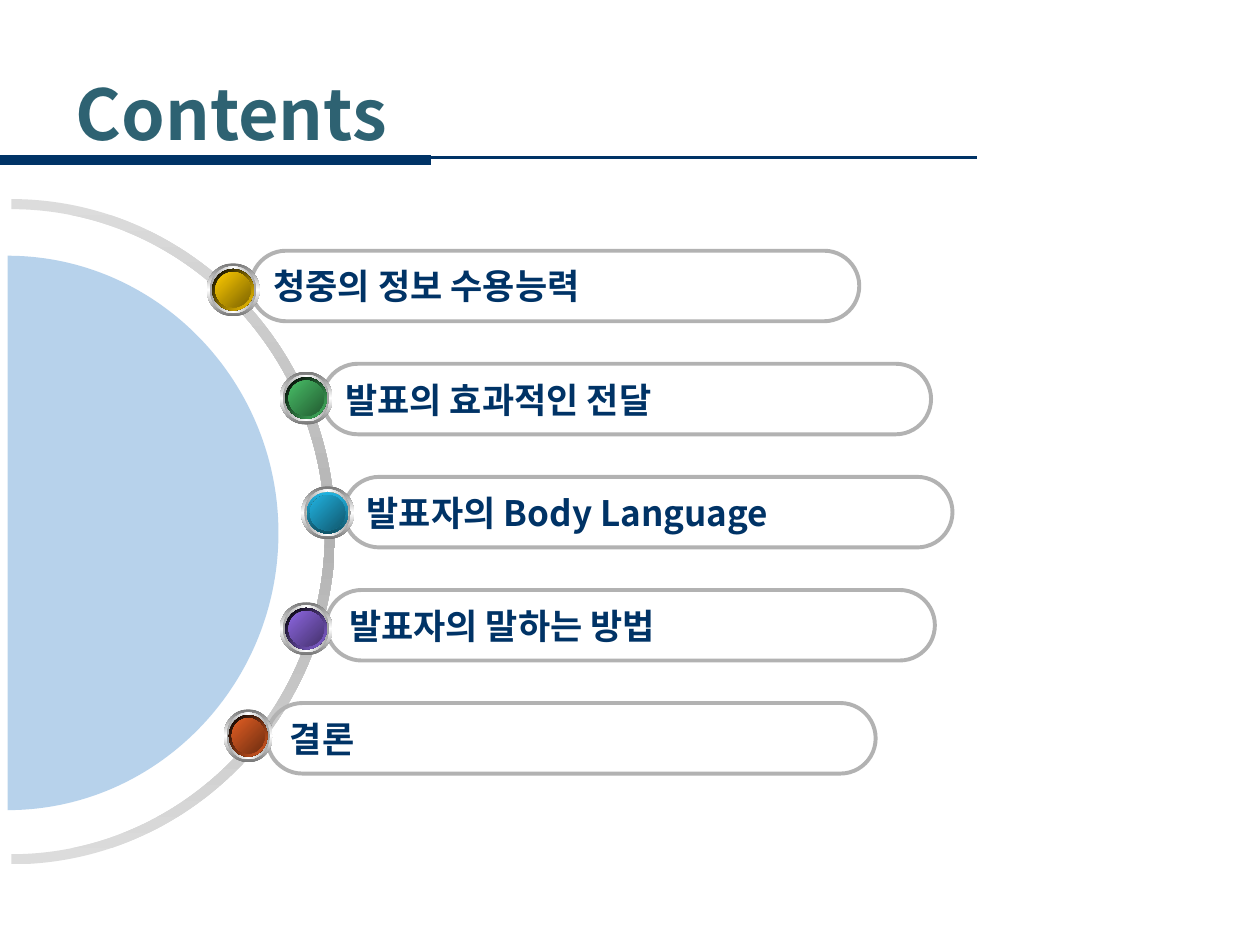
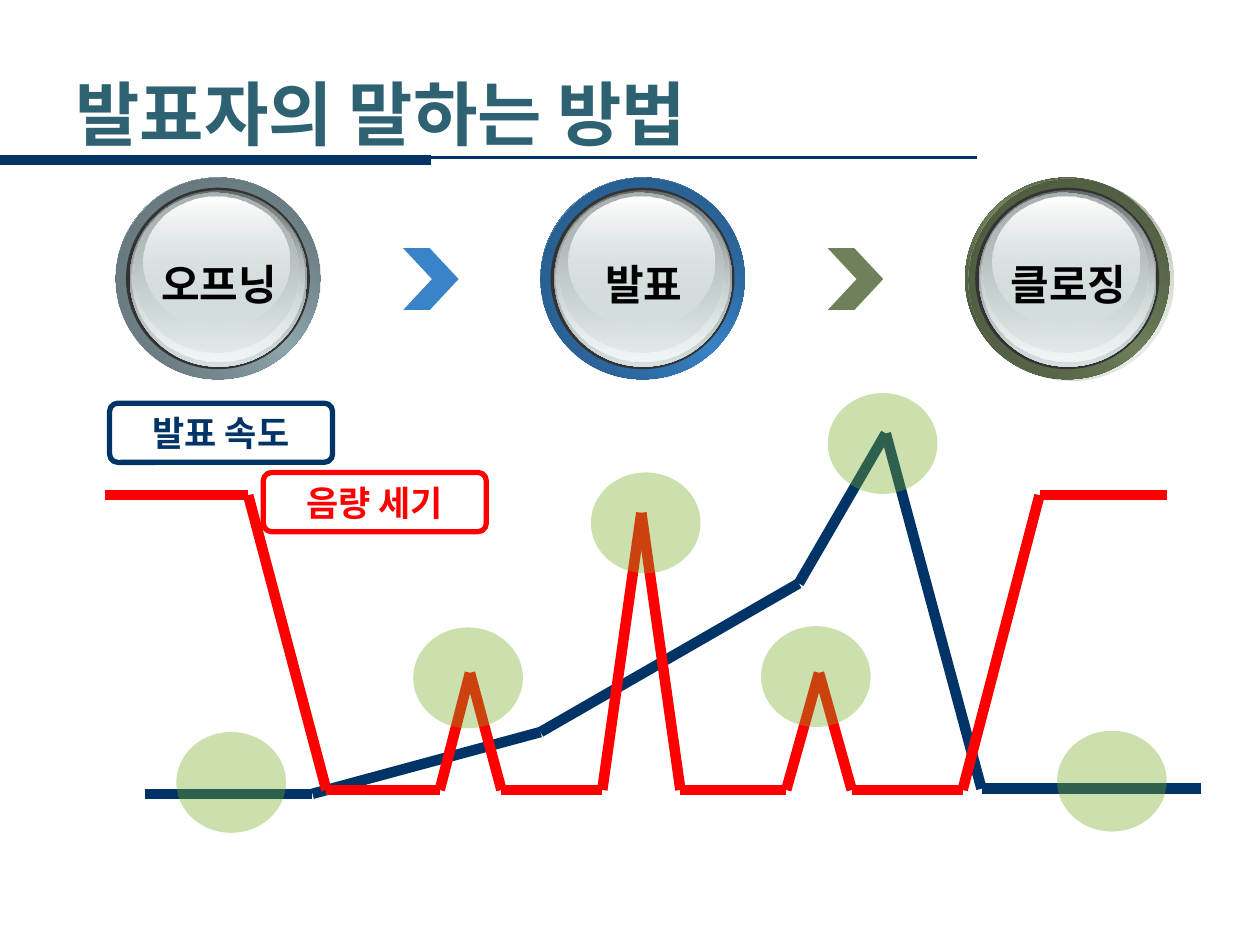
from itertools import pairwise

from lxml import etree
from pptx import Presentation
from pptx import util as u
from pptx.dml.color import RGBColor
from pptx.enum import shapes, text
from pptx.oxml.ns import qn

# Shared look
NAVY = RGBColor(0x00, 0x33, 0x66)
TEAL = RGBColor(0x2E, 0x62, 0x72)
RED = RGBColor(0xFF, 0x00, 0x00)
BLACK = RGBColor(0x00, 0x00, 0x00)
CHARCOAL = RGBColor(0x33, 0x33, 0x33)
GREY = RGBColor(0xB2, 0xB2, 0xB2)
BLUE = RGBColor(0x39, 0x84, 0xC9)
OLIVE = RGBColor(0x6E, 0x81, 0x5B)
GREEN = RGBColor(0x77, 0xAE, 0x26)
KOREAN = "Noto Sans CJK KR"
LATIN = "Arial"
KIND = shapes.MSO_SHAPE
LEFT, CENTER = text.PP_ALIGN.LEFT, text.PP_ALIGN.CENTER
TITLE_ONLY = 5
TITLE_RULES = [((7.75, 1.25), (0, 1.25), 1.5), ((0, 1.27), (3.42, 1.27), 6)]

# Contents slide: label, pill left, orb centre, orb width, rim gradient, face gradient
CONTENTS = [
    ("청중의 정보 수용능력", 1.99, (1.85, 2.30), 0.42,
     ("000000", "FFCC00", 45), ("FFCC00", "7C6300")),
    ("발표의 효과적인 전달", 2.56, (2.43, 3.16), 0.42,
     ("000000", "48BE67", 45), ("48BE67", "235C32")),
    ("발표자의 Body Language", 2.73, (2.60, 4.07), 0.42,
     ("21B3E1", "0F5368", 90), ("21B3E1", "10576D")),
    ("발표자의 말하는 방법", 2.59, (2.43, 4.99), 0.42,
     ("000000", "8D67E1", 45), ("8D67E1", "45326D")),
    ("결론", 2.12, (1.97, 5.84), 0.39,
     ("000000", "E35E23", 45), ("E35E23", "6E2E11")),
]
PILL_TOP, PILL_LAST = 1.99, 5.58
PILL_W, PILL_H = 4.83, 0.56
ORB = 0.42

# Delivery slide: stage, dark edge, bright middle, shine start, shine offset
STAGES = [
    ("오프닝", "4E5B5F", "90A8B0", "5B6B70", (0, 0)),
    ("발표", "1F476D", "3984C9", "245480", (0, 0)),
    ("클로징", "3C4631", "6E815B", "46523A", (0.03, 0.01)),
]
STAGE_LEFT, STAGE_TOP, STAGE_PITCH = 0.92, 1.41, 3.37
ARROWS = [BLUE, OLIVE]
# Glass layers: offset and size inside a stage, gradient stops (share, colour, alpha)
GLASS = [
    ((0.11, 0.10, 1.41, 1.40), [(0, "636869"), (100, "D6E1E2")]),
    ((0.12, 0.10, 1.38, 1.36), [(0, "D6E1E2", 0), (100, "F1F5F5")]),
    ((0.14, 0.12, 1.31, 1.27), [(0, "AAB2B3"), (100, "D6E1E2", 48)]),
    ((0.22, 0.15, 1.16, 1.03), [(0, "FFFFFF"), (100, "D6E1E2", 38)]),
]
CURVES = [
    (NAVY, [(1.15, 6.3), (2.48, 6.3), (4.29, 5.81), (6.34, 4.63),
            (7.03, 3.44), (7.79, 6.26), (9.53, 6.26)]),
    (RED, [(0.83, 3.93), (1.97, 3.93), (2.59, 6.27), (3.49, 6.27), (3.73, 5.34),
           (3.98, 6.27), (4.78, 6.27), (5.09, 4.07), (5.4, 6.27), (6.24, 6.27),
           (6.5, 5.34), (6.76, 6.27), (7.64, 6.27), (8.25, 3.93), (9.26, 3.93)]),
]
LEGEND = [("발표 속도", NAVY, 0.87, 3.2), ("음량 세기", RED, 2.09, 3.75)]
HIGHLIGHTS = [(1.4, 5.81), (6.57, 3.12), (8.39, 5.8),
              (4.69, 3.75), (3.28, 4.98), (6.04, 4.97)]


def add_run(p, words, size, color, font):
    r = p.add_run()
    r.text = words
    r.font.size, r.font.bold, r.font.name = u.Pt(size), True, font
    r.font.color.rgb = color


def set_alpha(parent, percent):
    etree.SubElement(parent, qn("a:alpha"), val=str(percent * 1000))


def paint(sp, fill=None, alpha=None, line=None, width=1):
    """Fill is a colour, a (stops, angle) gradient, or None."""
    sp.shadow.inherit = False
    if line is None:
        sp.line.fill.background()
    else:
        sp.line.color.rgb, sp.line.width = line, u.Pt(width)
    if fill is None:
        sp.fill.background()
    elif isinstance(fill, RGBColor):
        sp.fill.solid()
        sp.fill.fore_color.rgb = fill
        if alpha is not None:
            set_alpha(sp._element.spPr.find(".//" + qn("a:srgbClr")), alpha)
    else:
        stops, angle = fill
        sp.fill.gradient()
        grad = sp._element.spPr.find(qn("a:gradFill"))
        for child in list(grad):
            grad.remove(child)
        stop_list = etree.SubElement(grad, qn("a:gsLst"))
        for share, color, *opacity in stops:
            stop = etree.SubElement(stop_list, qn("a:gs"), pos=str(share * 1000))
            rgb = etree.SubElement(stop, qn("a:srgbClr"), val=color)
            for percent in opacity:
                set_alpha(rgb, percent)
        etree.SubElement(grad, qn("a:lin"), ang=str(angle * 60000), scaled="0")
    return sp


def add_shape(s, kind, box, *args, **style):
    return paint(s.shapes.add_shape(kind, *map(u.Inches, box)), *args, **style)


def add_line(s, start, end, color, width):
    c = s.shapes.add_connector(shapes.MSO_CONNECTOR.STRAIGHT,
                               *map(u.Inches, (*start, *end)))
    c.line.color.rgb, c.line.width = color, u.Pt(width)
    etree.SubElement(c._element.spPr, qn("a:effectLst"))
    return c


def add_framed_label(s, box, radius, frame, width, words, color, font, align):
    sp = add_shape(s, KIND.ROUNDED_RECTANGLE, box, line=frame, width=width)
    sp.adjustments[0] = radius
    tf = sp.text_frame
    tf.vertical_anchor = text.MSO_ANCHOR.MIDDLE
    tf.paragraphs[0].alignment = align
    add_run(tf.paragraphs[0], words, 20, color, font)


def add_titled_slide(prs, words):
    s = prs.slides.add_slide(prs.slide_layouts[TITLE_ONLY])
    title = s.shapes.title
    title.left, title.top, title.width, title.height = map(
        u.Inches, (0.5, 0.58, 8.42, 0.62))
    tf = title.text_frame
    tf.auto_size = text.MSO_AUTO_SIZE.NONE
    tf.vertical_anchor = text.MSO_ANCHOR.MIDDLE
    tf.paragraphs[0].alignment = LEFT
    add_run(tf.paragraphs[0], words, 40, TEAL, KOREAN)
    return s


def share_title_rules(s):
    """Draw the title rules and move them to the layout all slides use."""
    for start, end, width in TITLE_RULES:
        rule = add_line(s, start, end, NAVY, width)
        s.slide_layout.shapes.element.append(rule._element)


def half_ellipse(cx, cy, rx, ry):
    """Two Bezier curves down the right half: end points and their handles."""
    kx, ky = 0.55 * rx, 0.55 * ry
    return [(cx, cy - ry), (cx + kx, cy - ry), (cx + rx, cy - ky), (cx + rx, cy),
            (cx + rx, cy + ky), (cx + kx, cy + ry), (cx, cy + ry)]


def add_curved_outline(s, arcs, *args, **style):
    """Join the arcs by straight lines and close the outline."""
    start, *rest = [(u.Inches(x), u.Inches(y)) for arc in arcs for x, y in arc]
    builder = s.shapes.build_freeform(*start)
    builder.add_line_segments(rest)
    sp = builder.convert_to_shape()
    lines = list(sp._element.iter(qn("a:lnTo")))
    for first in range(0, len(lines), 7):
        for i in (first, first + 3):
            curve = etree.Element(qn("a:cubicBezTo"))
            lines[i].addprevious(curve)
            for line in lines[i:i + 3]:
                curve.append(line[0])
                line.getparent().remove(line)
    paint(sp, *args, **style)


def add_orb(s, center, width, rim, face):
    rim_start, rim_end, rim_angle = rim
    layers = [
        (0.42, ("767676", "FFFFFF", "767676"), 90),
        (0.37, ("A2A2A2", "FFFFFF", "A2A2A2"), 0),
        (0.33, ("FFFFFF", "6E815B", "FFFFFF"), 45),
        (0.33, (rim_start, rim_end), rim_angle),
        (0.28, ("3C4631", "6E815B", "3C4631"), 315),
        (0.28, face, 45),
    ]
    for size, colors, angle in layers:
        w = size * width / ORB
        stops = [(100 * i // (len(colors) - 1), c) for i, c in enumerate(colors)]
        add_shape(s, KIND.OVAL,
                  (center[0] - w / 2, center[1] - size / 2, w, size), (stops, angle))


def build_contents(prs):
    s = add_titled_slide(prs, "Contents")
    share_title_rules(s)
    # Ring and half disc
    ring = [half_ellipse(0.09, 4.22, 2.49, 2.56),
            half_ellipse(0.09, 4.22, 2.57, 2.64)[::-1]]
    add_curved_outline(s, ring, ([(0, "DCDCDC"), (50, "B2B2B2"), (100, "DCDCDC")], 90))
    add_curved_outline(s, [half_ellipse(0.06, 4.23, 2.15, 2.2)], BLUE, alpha=36)
    # Pills, then the orbs on top of them
    step = (PILL_LAST - PILL_TOP) / (len(CONTENTS) - 1)
    for i, (words, left, *_) in enumerate(CONTENTS):
        add_framed_label(s, (left, PILL_TOP + i * step, PILL_W, PILL_H), 0.5,
                         GREY, 2.25, words, NAVY, KOREAN, LEFT)
    for _, _, *orb in CONTENTS:
        add_orb(s, *orb)


def add_stage(s, left, words, edge, middle, shine, offset):
    top, w, h = STAGE_TOP, 1.62, 1.6
    add_shape(s, KIND.OVAL, (left, top, w, h),
              ([(0, edge), (50, middle), (100, edge)], 315))
    add_shape(s, KIND.OVAL, (left + offset[0], top + offset[1], w, h),
              ([(0, shine), (100, middle, 0)], 45))
    add_shape(s, KIND.OVAL, (left + 0.08, top + 0.08, 1.46, 1.44), CHARCOAL)
    for (dx, dy, gw, gh), stops in GLASS:
        add_shape(s, KIND.OVAL, (left + dx, top + dy, gw, gh), (stops, 90))
    box = s.shapes.add_textbox(*map(u.Inches, (left + 0.26, 2, 1.12, 0.5)))
    tf = box.text_frame
    tf.word_wrap = False
    tf.paragraphs[0].alignment = CENTER
    add_run(tf.paragraphs[0], words, 24, BLACK, LATIN)


def build_delivery(prs):
    s = add_titled_slide(prs, "발표자의 말하는 방법")
    # Stages and the arrows between them
    for i, color in enumerate(ARROWS):
        arrow = add_shape(s, KIND.CHEVRON,
                          (3.2 + i * STAGE_PITCH, 1.97, 0.44, 0.49), color)
        arrow.adjustments[0] = 0.52
    for i, stage in enumerate(STAGES):
        add_stage(s, STAGE_LEFT + i * STAGE_PITCH, *stage)
    # Speed and volume curves with their legend
    for color, points in CURVES:
        for start, end in pairwise(points):
            add_line(s, start, end, color, 6)
    for words, color, left, top in LEGEND:
        add_framed_label(s, (left, top, 1.77, 0.47), 0.14, color, 3,
                         words, color, LATIN, CENTER)
    # Highlighted moments
    for left, top in HIGHLIGHTS:
        add_shape(s, KIND.OVAL, (left, top, 0.87, 0.8), GREEN, alpha=38)


def main():
    prs = Presentation()
    prs.slide_width, prs.slide_height = u.Inches(10), u.Inches(7.5)
    build_contents(prs)
    build_delivery(prs)
    prs.save("out.pptx")


if __name__ == "__main__":
    main()
